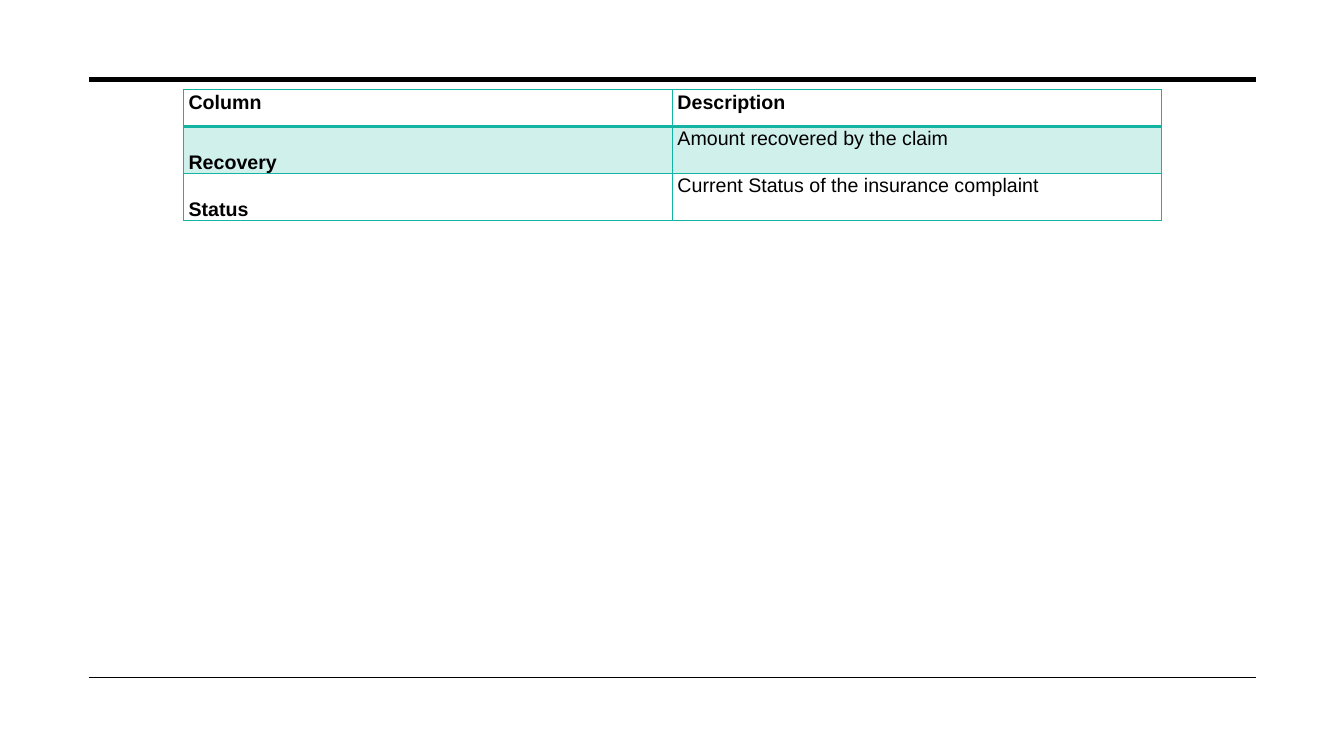
from lxml.etree import SubElement
from pptx import Presentation
from pptx.dml.color import RGBColor
from pptx.enum.shapes import MSO_CONNECTOR as Connector
from pptx.enum.text import MSO_ANCHOR as Anchor
from pptx.oxml.ns import qn
from pptx.util import Inches, Pt

COLORS = {"ink": "000000", "teal": "14B4A3"}


class ClaimSlide:
    """Lengths are percentages of the slide's width (x) and height (y)."""

    font, size, line_spacing = "Arial", 14, 1.07

    def __init__(self, deck):
        self.width, self.height = deck.slide_width, deck.slide_height
        self.slide = deck.slides.add_slide(deck.slide_layouts[6])

    def x(self, share):
        return round(self.width * share / 100)

    def y(self, share):
        return round(self.height * share / 100)

    def rule(self, left, right, top, weight):
        line = self.slide.shapes.add_connector(
            Connector.STRAIGHT, self.x(left), self.y(top), self.x(right), self.y(top))
        line.line.width = Pt(weight)
        line.line.color.rgb = RGBColor.from_string(COLORS["ink"])
        SubElement(line._element.spPr, qn("a:effectLst"))

    def border(self, cell, side, weight):
        edge = SubElement(cell._tc.get_or_add_tcPr(), qn(f"a:ln{side}"), w=str(Pt(weight)))
        paint = SubElement(edge, qn("a:solidFill"))
        SubElement(paint, qn("a:srgbClr"), val=COLORS["teal"])

    def tint(self, cell, opacity):
        cell.fill.solid()
        cell.fill.fore_color.rgb = RGBColor.from_string(COLORS["teal"])
        shade = cell._tc.tcPr.find(qn("a:solidFill"))[0]
        SubElement(shade, qn("a:alpha"), val=str(opacity * 1000))

    def label(self, cell, text, bold, anchor):
        cell.margin_left = cell.margin_right = Inches(0.05)
        cell.margin_top = cell.margin_bottom = 0
        cell.vertical_anchor = anchor
        paragraph = cell.text_frame.paragraphs[0]
        paragraph.line_spacing = self.line_spacing
        run = paragraph.add_run()
        run.text = text
        run.font.name, run.font.size, run.font.bold = self.font, Pt(self.size), bold
        run.font.color.rgb = RGBColor.from_string(COLORS["ink"])

    def table(self, left, top, column_width, row_heights, entries):
        columns = len(entries[0])
        grid = self.slide.shapes.add_table(
            len(entries), columns, self.x(left), self.y(top),
            self.x(column_width * columns), self.y(sum(row_heights))).table
        grid.first_row = grid.horz_banding = False
        for column in grid.columns:
            column.width = self.x(column_width)
        for r, (height, entry) in enumerate(zip(row_heights, entries)):
            grid.rows[r].height = self.y(height)
            for c, text in enumerate(entry):
                cell = grid.cell(r, c)
                header, field = r == 0, c == 0
                # The line under the header is twice as heavy
                weights = {"L": 1, "R": 1, "T": 2 if r == 1 else 1, "B": 2 if header else 1}
                for side, weight in weights.items():
                    self.border(cell, side, weight)
                if r % 2:
                    self.tint(cell, 20)
                else:
                    cell.fill.background()
                self.label(cell, text, header or field,
                           Anchor.BOTTOM if field and not header else Anchor.TOP)


def main():
    deck = Presentation()
    deck.slide_width, deck.slide_height = Inches(13.33), Inches(7.5)
    page = ClaimSlide(deck)

    # Rules at the head and foot of the page
    for top, weight in ((10.53, 3.5), (89.6, 1)):
        page.rule(6.6, 93.47, top, weight)

    # Data dictionary
    page.table(13.65, 11.87, 36.38, (4.85, 6.25, 6.25), [
        ("Column", "Description"),
        ("Recovery", "Amount recovered by the claim"),
        ("Status", "Current Status of the insurance complaint"),
    ])
    deck.save("out.pptx")


if __name__ == "__main__":
    main()
